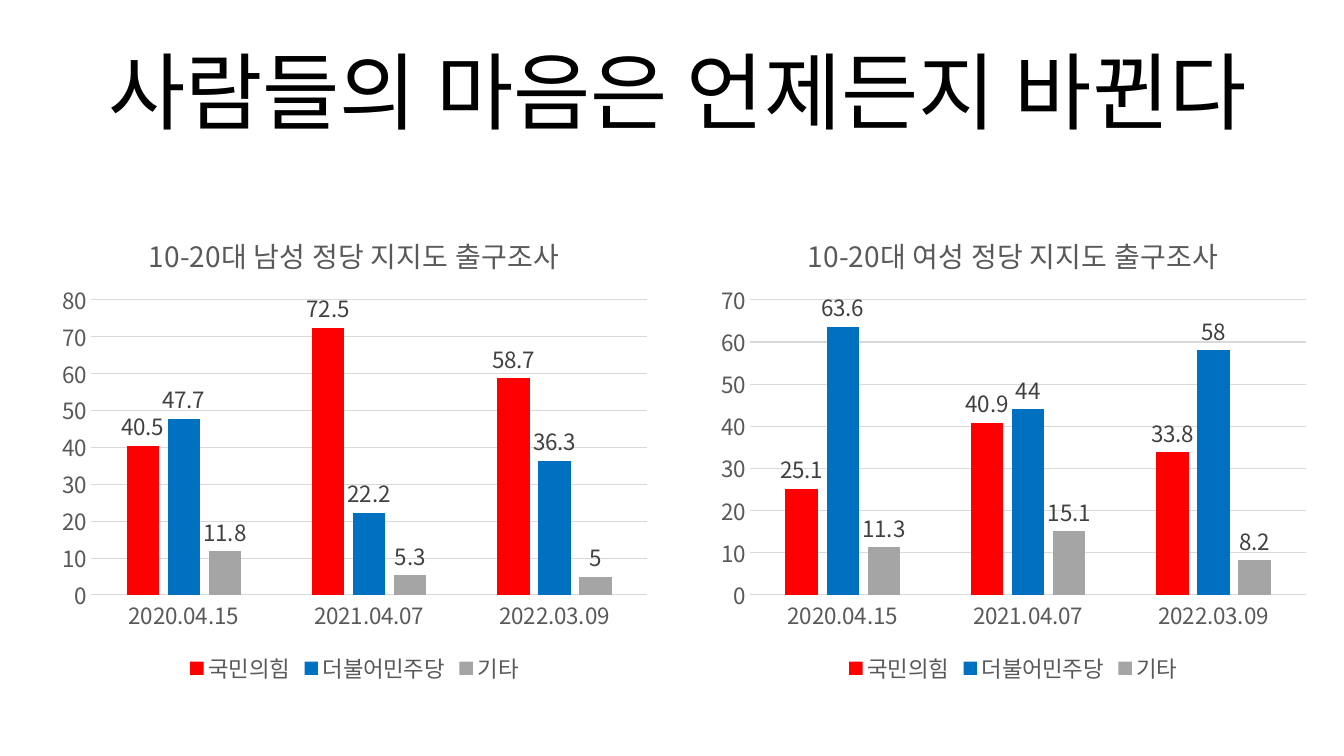
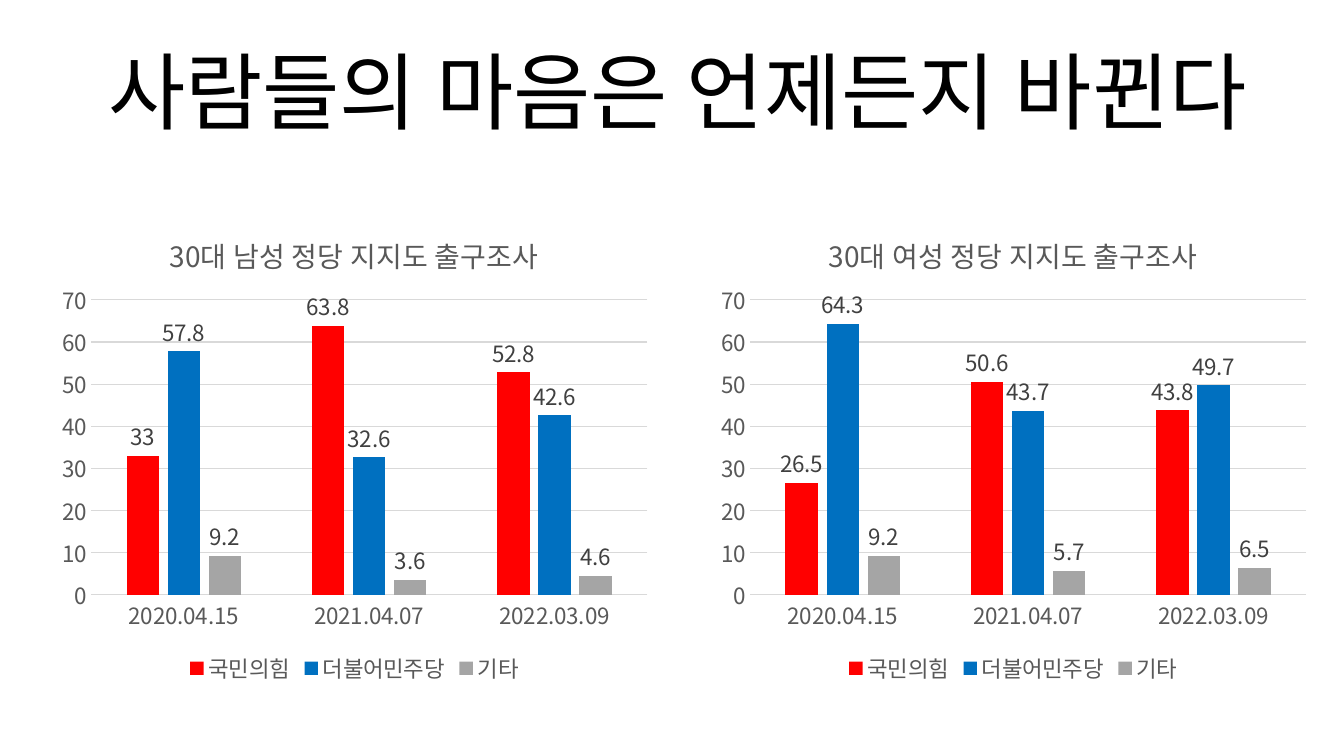
from dataclasses import dataclass
from typing import Any

from lxml.etree import SubElement
from pptx import Presentation
from pptx.chart.chart import Chart
from pptx.chart.data import CategoryChartData
from pptx.dml.color import RGBColor
from pptx.enum.chart import XL_CHART_TYPE, XL_LABEL_POSITION, XL_LEGEND_POSITION, XL_TICK_MARK
from pptx.enum.text import MSO_ANCHOR, MSO_AUTO_SIZE, PP_ALIGN
from pptx.oxml.ns import qn
from pptx.slide import Slide
from pptx.text.text import Font
from pptx.util import Pt


@dataclass(frozen=True)
class Theme:
    font: str = "Noto Sans CJK KR"
    black: str = "000000"
    label: str = "404040"
    muted: str = "595959"
    grid: str = "D9D9D9"
    heading_size: float = 60
    chart_title_size: float = 20
    chart_size: float = 16
    line_width: float = 0.75


@dataclass(frozen=True)
class Party:
    name: str
    color: str


@dataclass(frozen=True)
class Poll:
    title: str
    values: tuple[tuple[float, ...], ...]  # one row per party


THEME = Theme()
HEADING = "사람들의 마음은 언제든지 바뀐다"
DATES = ("2020.04.15", "2021.04.07", "2022.03.09")
PARTIES = (Party("국민의힘", "FF0000"), Party("더불어민주당", "0070C0"), Party("기타", "A5A5A5"))

# Slide and chart geometry in points
SLIDE_WIDTH, SLIDE_HEIGHT = 960, 540
HEADING_BOX = {"left": 42.5, "top": 24.5, "width": 882.5, "height": 80}
CHART_LEFT, CHART_TOP, CHART_STEP = 36, 151.2, 470.7
CHART_WIDTH, CHART_HEIGHT = 434.2, 340.6
PLOT_LAYOUT = {"x": 0.067, "y": 0.185, "w": 0.915, "h": 0.619}  # shares of the chart

SLIDES = (
    (
        Poll("10-20대 남성 정당 지지도 출구조사",
             ((40.5, 72.5, 58.7), (47.7, 22.2, 36.3), (11.8, 5.3, 5))),
        Poll("10-20대 여성 정당 지지도 출구조사",
             ((25.1, 40.9, 33.8), (63.6, 44, 58), (11.3, 15.1, 8.2))),
    ),
    (
        Poll("30대 남성 정당 지지도 출구조사",
             ((33, 63.8, 52.8), (57.8, 32.6, 42.6), (9.2, 3.6, 4.6))),
        Poll("30대 여성 정당 지지도 출구조사",
             ((26.5, 50.6, 43.8), (64.3, 43.7, 49.7), (9.2, 5.7, 6.5))),
    ),
)


def apply_format(target: Any, values: dict[str, Any]) -> None:
    for name, value in values.items():
        setattr(target, name, value)


def format_font(font: Font, size: float, color: str) -> None:
    apply_format(font, {"name": THEME.font, "size": Pt(size), "bold": False})
    font.color.rgb = RGBColor.from_string(color)


def add_east_asian_fonts(element: Any) -> None:
    """Give Korean letters the same font as Latin ones."""
    for latin in list(element.iter(qn("a:latin"))):
        east_asian = SubElement(latin.getparent(), qn("a:ea"), typeface=THEME.font)
        latin.addnext(east_asian)


def place_plot(chart: Chart) -> None:
    """Fix the inner plot area so that all charts line up."""
    plot_area = chart.element.find(".//" + qn("c:plotArea"))
    layout = plot_area.find(qn("c:layout"))
    if layout is None:
        layout = SubElement(plot_area, qn("c:layout"))
        plot_area.insert(0, layout)
    manual = SubElement(layout, qn("c:manualLayout"))
    settings = {"layoutTarget": "inner", "xMode": "edge", "yMode": "edge"}
    for name, value in (settings | PLOT_LAYOUT).items():
        SubElement(manual, qn(f"c:{name}"), val=str(value))


def format_axes(chart: Chart) -> None:
    for axis in (chart.category_axis, chart.value_axis):
        apply_format(axis, {"major_tick_mark": XL_TICK_MARK.NONE,
                            "minor_tick_mark": XL_TICK_MARK.NONE})
        format_font(axis.tick_labels.font, THEME.chart_size, THEME.muted)
    chart.value_axis.minimum_scale = 0
    chart.value_axis.has_major_gridlines = True
    chart.value_axis.format.line.fill.background()
    for line in (chart.category_axis.format.line, chart.value_axis.major_gridlines.format.line):
        line.width = Pt(THEME.line_width)
        line.color.rgb = RGBColor.from_string(THEME.grid)


def add_poll_chart(slide: Slide, poll: Poll, left: float) -> None:
    data = CategoryChartData()
    data.categories = DATES
    for party, values in zip(PARTIES, poll.values):
        data.add_series(party.name, values)
    chart = slide.shapes.add_chart(
        XL_CHART_TYPE.COLUMN_CLUSTERED, Pt(left), Pt(CHART_TOP),
        Pt(CHART_WIDTH), Pt(CHART_HEIGHT), data).chart
    format_font(chart.font, THEME.chart_size, THEME.black)

    # Title and legend
    chart.has_title = True
    paragraph = chart.chart_title.text_frame.paragraphs[0]
    run = paragraph.add_run()
    run.text = poll.title
    format_font(run.font, THEME.chart_title_size, THEME.muted)
    chart.has_legend = True
    apply_format(chart.legend, {"position": XL_LEGEND_POSITION.BOTTOM,
                                "include_in_layout": False})
    format_font(chart.legend.font, THEME.chart_size, THEME.muted)

    # Columns and their values
    plot = chart.plots[0]
    apply_format(plot, {"gap_width": 219, "overlap": -27, "vary_by_categories": False})
    for party, series in zip(PARTIES, plot.series):
        series.format.fill.solid()
        series.format.fill.fore_color.rgb = RGBColor.from_string(party.color)
        labels = series.data_labels
        apply_format(labels, {"show_value": True, "position": XL_LABEL_POSITION.OUTSIDE_END})
        format_font(labels.font, THEME.chart_size, THEME.label)

    format_axes(chart)
    place_plot(chart)
    add_east_asian_fonts(chart.element)


def add_heading(slide: Slide) -> None:
    title = slide.shapes.title
    apply_format(title, {name: Pt(value) for name, value in HEADING_BOX.items()})
    frame = title.text_frame
    frame.text = HEADING
    apply_format(frame, {"word_wrap": False, "auto_size": MSO_AUTO_SIZE.NONE,
                         "vertical_anchor": MSO_ANCHOR.MIDDLE})
    paragraph = frame.paragraphs[0]
    paragraph.alignment = PP_ALIGN.CENTER
    format_font(paragraph.runs[0].font, THEME.heading_size, THEME.black)
    add_east_asian_fonts(title.element)


def main() -> None:
    presentation = Presentation()
    apply_format(presentation, {"slide_width": Pt(SLIDE_WIDTH), "slide_height": Pt(SLIDE_HEIGHT)})
    title_only = presentation.slide_layouts.get_by_name("Title Only")
    for polls in SLIDES:
        slide = presentation.slides.add_slide(title_only)
        add_heading(slide)
        for column, poll in enumerate(polls):
            add_poll_chart(slide, poll, CHART_LEFT + column * CHART_STEP)
    presentation.save("out.pptx")


if __name__ == "__main__":
    main()
